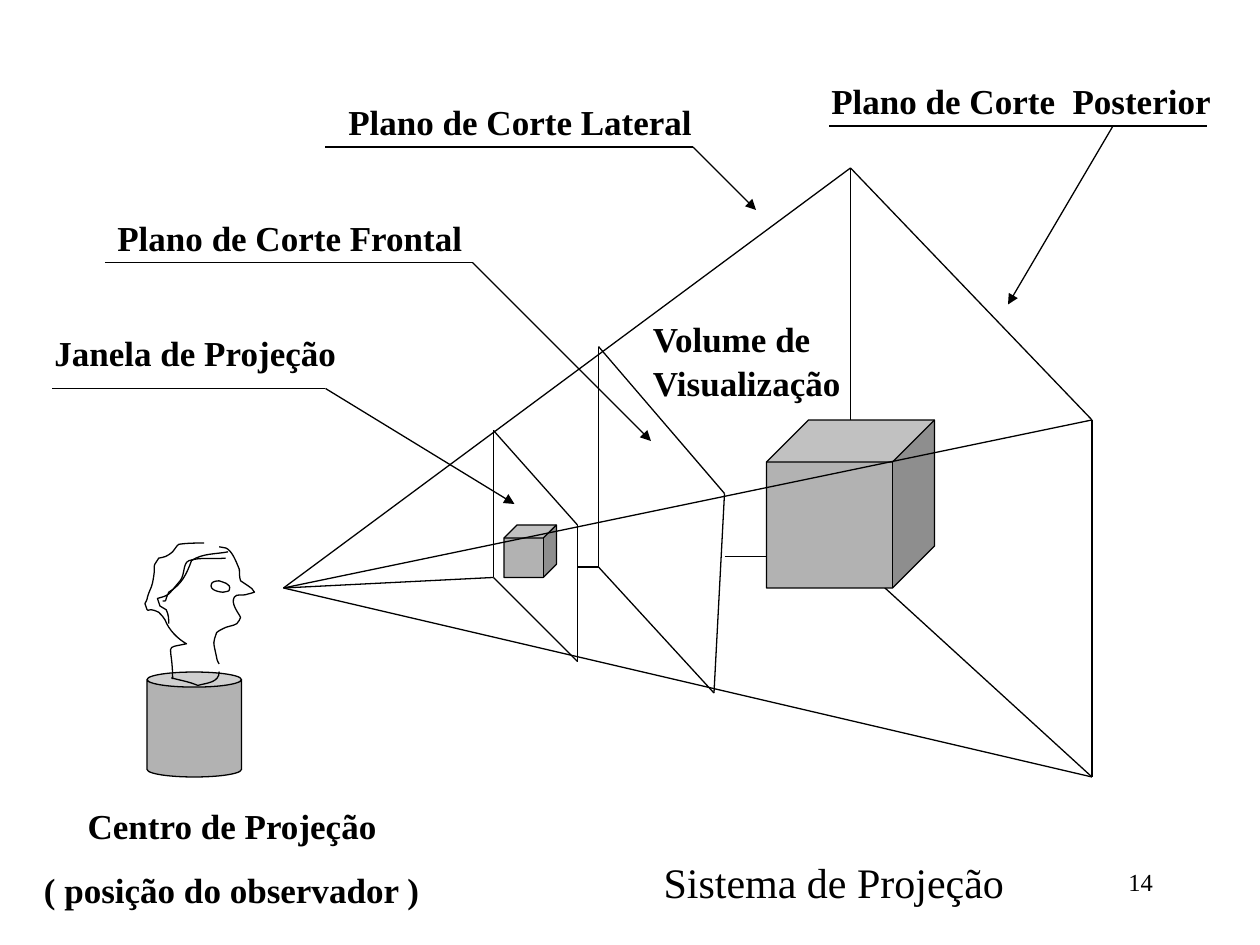
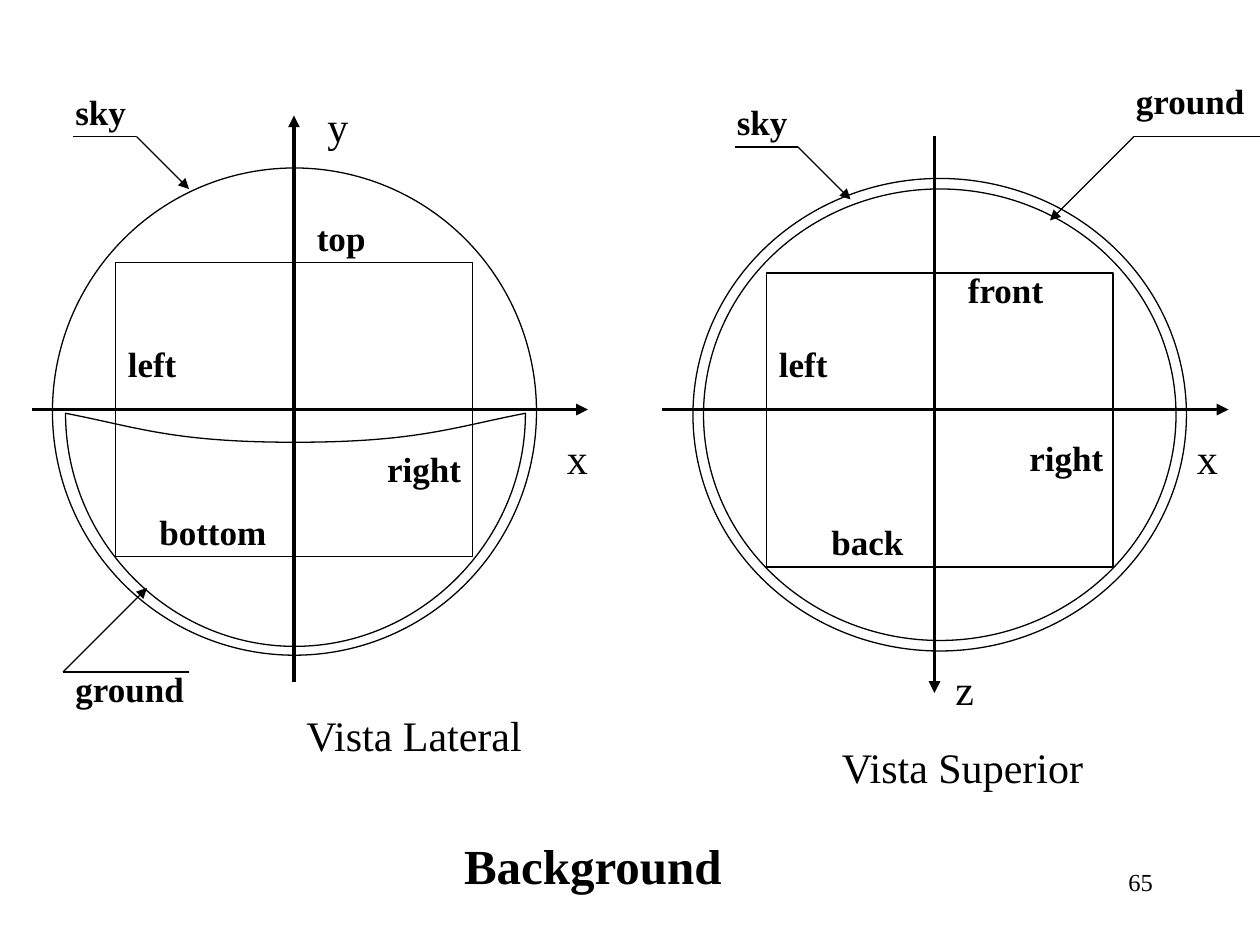
from dataclasses import dataclass
from itertools import pairwise

from lxml import etree
from pptx import Presentation
from pptx.dml.color import RGBColor
from pptx.enum.shapes import MSO_CONNECTOR, MSO_SHAPE
from pptx.enum.text import MSO_ANCHOR, MSO_AUTO_SIZE, PP_ALIGN
from pptx.oxml.ns import qn
from pptx.util import Cm, Pt

# Shared style
FONT = "Times New Roman"
BLACK, GREY, WHITE = "000000", "B2B2B2", "FFFFFF"
THIN, THICK = 0.75, 2.25
LABEL_SIZE, CAPTION_SIZE = 20, 24
GRID = 2.54 / 12  # one drawing cell, in cm
FINE = 0.12  # curve points count hundredths of an inch, in cells
LABEL_WIDTH, LABEL_HEIGHT = 13, 5.3

STRAIGHT = MSO_CONNECTOR.STRAIGHT
CAN, CUBE = MSO_SHAPE.CAN, MSO_SHAPE.CUBE
ELLIPSE, RECTANGLE = MSO_SHAPE.OVAL, MSO_SHAPE.RECTANGLE
LEFT, RIGHT = PP_ALIGN.LEFT, PP_ALIGN.RIGHT
TOP, NO_FIT = MSO_ANCHOR.TOP, MSO_AUTO_SIZE.NONE

# Each curve is a start point followed by triples of Bézier points
HEAD_CURVES = [
    # face
    [(149, 9), (151, 10), (154, 9), (156, 11), (160, 14), (163, 22), (165, 27),
     (165, 30), (165, 33), (166, 36), (168, 38), (170, 38), (172, 40),
     (174, 41), (176, 43), (177, 45), (175, 46), (173, 46), (170, 47),
     (167, 48), (163, 46), (161, 49), (158, 54), (164, 61), (166, 65),
     (165, 66), (165, 69), (163, 70), (160, 72), (155, 72), (152, 74),
     (150, 75), (148, 76), (147, 77), (144, 86), (144, 83), (147, 97),
     (147, 99), (149, 102), (149, 102)],
    # back of the head
    [(137, 6), (130, 6), (124, 6), (117, 7), (115, 8), (114, 11), (112, 13),
     (107, 17), (106, 17), (101, 18), (94, 29), (100, 18), (96, 38),
     (95, 42), (93, 45), (92, 49), (92, 51), (90, 54), (90, 54),
     (94, 65), (89, 55), (101, 61), (103, 63), (105, 65), (106, 67),
     (109, 75), (116, 82), (123, 86), (104, 90), (112, 85), (112, 114)],
    # eye
    [(149, 36), (151, 37), (159, 38), (157, 43), (157, 45), (154, 44), (152, 45),
     (151, 45), (140, 44), (143, 38), (144, 36), (149, 36), (149, 36)],
    # hairline
    [(156, 13), (146, 15), (136, 14), (127, 20), (123, 31), (119, 39), (109, 45),
     (105, 53), (108, 52), (104, 52)],
    # fringe and ear
    [(154, 18), (144, 19), (134, 17), (125, 20), (120, 22), (122, 31), (118, 36),
     (107, 49), (110, 47), (100, 50), (101, 52), (101, 54), (102, 56),
     (103, 57), (106, 58), (107, 59), (109, 63), (109, 67), (109, 70)],
    # base of the neck
    [(111, 113), (118, 115), (125, 116), (132, 119), (139, 117), (149, 117), (149, 108)],
]
GROUND_CURVE = [(27, 253), (84, 264), (112, 276), (209, 276), (306, 276), (335, 264),
                (392, 253), (392, 354), (309, 438), (209, 438), (109, 438), (27, 354),
                (27, 253)]


def color(value):
    return RGBColor.from_string(value)


def cells(count):
    return Cm(count * GRID)


def bend_segments(shape):
    """Turn every three line segments of a freeform into one Bézier curve."""
    segments = list(shape._element.iter(qn("a:lnTo")))
    for first, second, third in zip(*[iter(segments)] * 3):
        first.tag = qn("a:cubicBezTo")
        for segment in (second, third):
            first.append(segment[0])
            segment.getparent().remove(segment)


def write(frame, text, size=LABEL_SIZE, bold=False, align=LEFT, space=0, indent=0):
    """Fill a frame; text is a string or a list of paragraphs of (text, size) spans."""
    frame.word_wrap, frame.auto_size, frame.vertical_anchor = True, NO_FIT, TOP
    paragraphs = [[(text, size)]] if isinstance(text, str) else text
    for index, spans in enumerate(paragraphs):
        para = frame.add_paragraph() if index else frame.paragraphs[0]
        para.alignment = align
        para.space_before = Pt(space if index else 0)
        if indent and not index:
            para._p.get_or_add_pPr().set("indent", str(Pt(indent)))
        for words, span_size in spans:
            span = para.add_run()
            span.text = words
            font = span.font
            font.name, font.size, font.bold = FONT, Pt(span_size), bold
            font.color.rgb = color(BLACK)


def paint(shape, fill=None):
    shape.shadow.inherit = False
    if fill:
        shape.fill.solid()
        shape.fill.fore_color.rgb = color(fill)
    else:
        shape.fill.background()
    shape.line.color.rgb = color(BLACK)
    shape.line.width = Pt(THIN)


@dataclass
class Region:
    """A part of a page; its contents are placed in cells from its corner."""
    page: object
    left: float = 0
    top: float = 0

    def place(self, x, y):
        return cells(self.left + x), cells(self.top + y)

    def line(self, start, end, width=THIN, arrow=False):
        connector = self.page.shapes.add_connector(
            STRAIGHT, *self.place(*start), *self.place(*end))
        connector.line.color.rgb = color(BLACK)
        connector.line.width = Pt(width)
        properties = connector._element.spPr
        if arrow:
            etree.SubElement(properties.find(qn("a:ln")), qn("a:tailEnd"), type="triangle")
        etree.SubElement(properties, qn("a:effectLst"))

    def callout(self, edge, bend, tip):
        self.line(edge, bend)
        self.line(bend, tip, arrow=True)

    def outline(self, corners):
        for start, end in pairwise(corners + corners[:1]):
            self.line(start, end)

    def shape(self, kind, x, y, width, height, fill=None, adjustment=None):
        shape = self.page.shapes.add_shape(
            kind, *self.place(x, y), cells(width), cells(height))
        paint(shape, fill)
        if adjustment is not None:
            shape.adjustments[0] = adjustment

    def curve(self, points, fill=None):
        track = [self.place(x * FINE, y * FINE) for x, y in points]
        builder = self.page.shapes.build_freeform(*track[0])
        builder.add_line_segments(track[1:], close=points[0] == points[-1])
        shape = builder.convert_to_shape()
        bend_segments(shape)
        paint(shape, fill)

    def text(self, text, x, y, width=LABEL_WIDTH, height=LABEL_HEIGHT, **style):
        box = self.page.shapes.add_textbox(
            *self.place(x, y), cells(width), cells(height))
        write(box.text_frame, text, **style)

    def label(self, text, x, y, width=LABEL_WIDTH, height=LABEL_HEIGHT, **style):
        self.text(text, x, y, width, height, bold=True, **style)


def add_page(deck, title, box, number, **style):
    """Add a page with its title and page number."""
    page = deck.slides.add_slide(deck.slide_layouts[5])
    heading = page.shapes.title
    heading.left, heading.top, heading.width, heading.height = map(cells, box)
    write(heading.text_frame, title, **style)
    Region(page).text(number, 86, 82, 25, 6, size=14, align=RIGHT)
    return page


def draw_view_volume(region):
    eye = (0, 40)
    back_plane = [(77, 58), (77, 24), (54, 0), (54, 37)]
    window = [(20, 39), (28, 47), (28, 34), (20, 25)]
    front_plane = [(30, 38), (41, 50), (42, 31), (30, 17)]
    for plane in (back_plane, window, front_plane):
        region.outline(plane)
    for corner in (back_plane[0], back_plane[2], window[0]):
        region.line(eye, corner)
    # Visible parts of the hidden edge
    region.line((28, 38), front_plane[0])
    region.line((42, 37), back_plane[3])
    # The object and its projection
    for x, y, side in ((46, 24, 16), (21, 34, 5)):
        region.shape(CUBE, x, y, side, side, GREY, 0.25)
    region.line(eye, back_plane[1])
    region.label([[("Volume de", 20), (" ", 24), ("Visualização", 20)]], 34, 13, 32, 10)


def draw_observer(region):
    region.shape(CAN, 11, 13, 9, 10, GREY, 0.16)
    for points in HEAD_CURVES:
        region.curve(points)
    region.label([[("Centro de Projeção", LABEL_SIZE)],
                  [("( posição do observador )", LABEL_SIZE)]],
                 0, 25, 40, 11.3, space=12.5, indent=25)


def draw_plane_names(region):
    region.label("Janela de Projeção", 4, 31, 33)
    region.callout((5, 37), (31, 37), (49, 48))
    region.label("Plano de Corte Frontal", 10, 20, 37)
    region.callout((10, 25), (45, 25), (62, 42))
    region.label("Plano de Corte Lateral", 32, 9, 36)
    region.callout((31, 14), (66, 14), (72, 20))
    region.label("Plano de Corte  Posterior", 78, 7, 42)
    region.line((79, 12), (115, 12))
    region.line((106, 12), (96, 29), arrow=True)


def draw_view(region, axes, letters, labels, callouts, caption):
    """Add the axes, names and caption of one view over its outlines."""
    for start, end in axes:
        region.line(start, end, THICK, arrow=True)
    for letter, x, y in letters:
        region.text(letter, x, y, 5, 6, size=CAPTION_SIZE)
    for name, x, y in labels:
        region.label(name, x, y)
    for points in callouts:
        region.callout(*points)
    name, x, y = caption
    region.text(name, x, y, 27, 6, size=CAPTION_SIZE)


def draw_side_view(region):
    region.shape(ELLIPSE, 2, 7, 46.1, 46.4)
    region.curve(GROUND_CURVE, WHITE)
    region.shape(RECTANGLE, 8, 16, 34, 28)
    draw_view(
        region,
        axes=[((25, 56), (25, 2)), ((0, 30), (53, 30))],
        letters=[("y", 27, 0), ("x", 49.8, 31.6)],
        labels=[("top", 26, 11), ("bottom", 11, 39), ("left", 8, 23),
                ("right", 32.7, 33), ("sky", 3, -1), ("ground", 3, 54)],
        callouts=[((4, 4), (10, 4), (15, 9)), ((15, 55), (3, 55), (11, 47))],
        caption=("Vista Lateral", 25, 58))


def draw_top_view(region):
    region.shape(ELLIPSE, 3, 8, 47, 45)
    region.shape(ELLIPSE, 4, 9, 45, 43)
    region.shape(RECTANGLE, 10, 17, 33, 28, WHITE)
    draw_view(
        region,
        axes=[((0, 30), (54, 30)), ((26, 4), (26, 57))],
        letters=[("x", 49.8, 31.6), ("z", 26.8, 53.6)],
        labels=[("left", 10, 23), ("front", 28, 16), ("back", 15, 40),
                ("right", 33.85, 32), ("sky", 6, 0), ("ground", 44, -2)],
        callouts=[((7, 5), (13, 5), (18, 10)), ((57, 4), (45, 4), (37, 12))],
        caption=("Vista Superior", 16, 61))


def main():
    deck = Presentation()
    deck.slide_width, deck.slide_height = Cm(25.4), Cm(19.05)

    # Projection system
    page = add_page(deck, "Sistema de Projeção", (62, 81, 37, 6), "14", size=CAPTION_SIZE)
    draw_view_volume(Region(page, 27, 16))
    draw_observer(Region(page, 3, 51))
    draw_plane_names(Region(page))

    # Background
    page = add_page(deck, "Background", (43, 79, 33, 7), "65", size=28, bold=True)
    draw_side_view(Region(page, 3, 9))
    draw_top_view(Region(page, 63, 9))

    deck.save("out.pptx")


if __name__ == "__main__":
    main()
